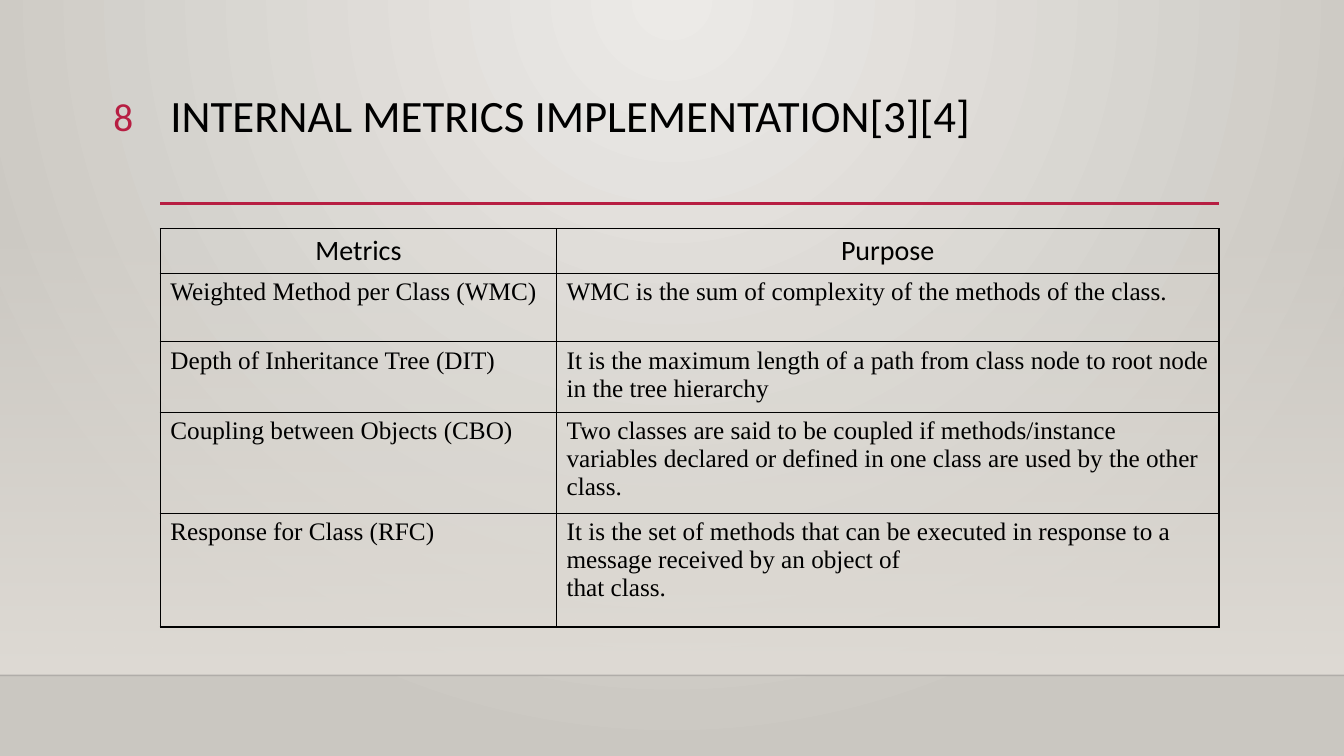
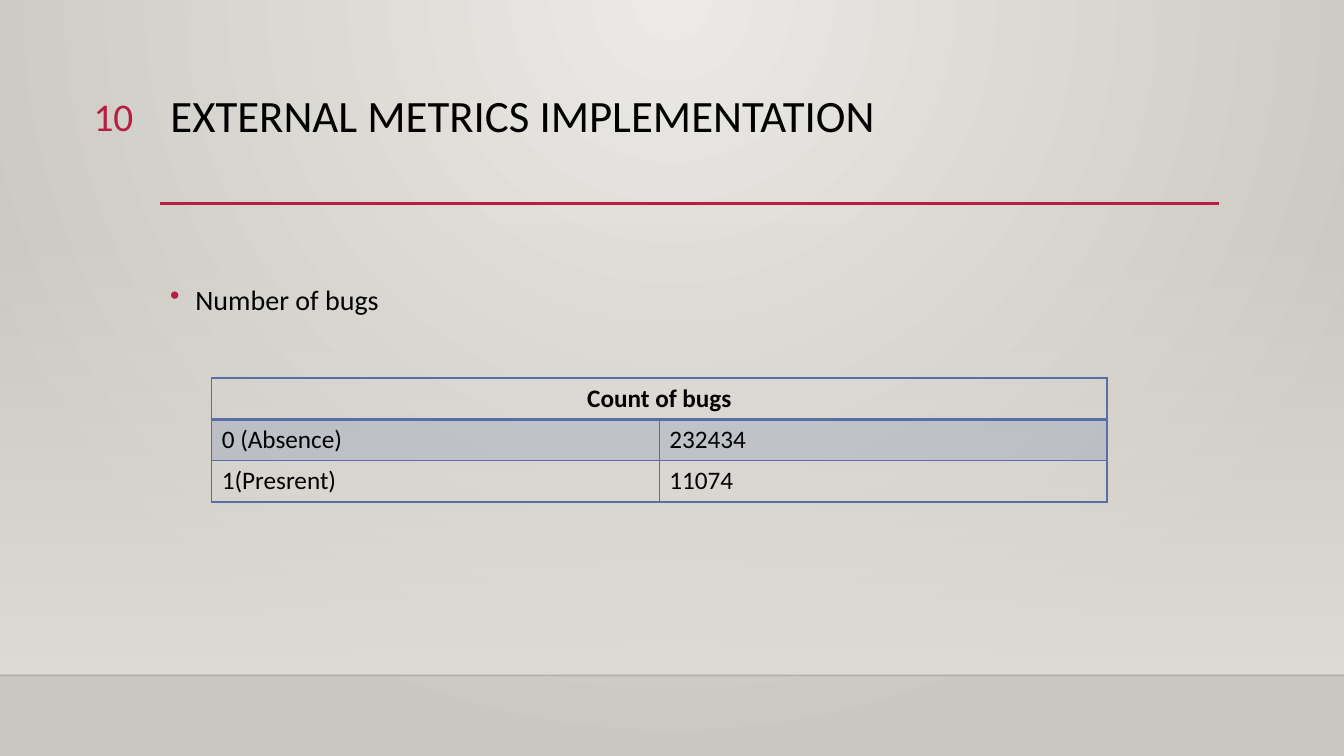
from lxml import etree
from pptx import Presentation
from pptx import util as u
from pptx.dml.color import RGBColor
from pptx.enum import shapes, text
from pptx.oxml.ns import qn

COLORS = {
    "glow": "ECEAE7", "edge": "CAC7C1", "band": "DFDBD5", "floor": "000001",
    "accent": "B71E42", "ink": "000000", "blue": "586EA6",
}
FONT, SERIF = "Calibri", "Times New Roman"
LEFT, WIDTH = 1.59, 10.5
ALIGN = text.PP_ALIGN


def color(name):
    return RGBColor.from_string(COLORS[name])


def add_element(parent, tag, **attributes):
    return etree.SubElement(parent, qn(tag), attributes)


def set_alpha(element, percents):
    """Give each colour inside the element its opacity, in order."""
    for value, percent in zip(element.iter(qn("a:srgbClr")), percents):
        add_element(value, "a:alpha", val=str(percent * 1000))


def set_gradient(fill, names):
    fill.gradient()
    for stop, name, position in zip(fill.gradient_stops, names, (0, 1)):
        stop.color.rgb = color(name)
        stop.position = position


def write(frame, content, size=18, font=FONT, ink="ink", bold=False,
          align=ALIGN.LEFT, spacing=1.0):
    """Write text into a frame, one paragraph for each line."""
    frame.word_wrap = True
    frame.text = content
    for para in frame.paragraphs:
        para.alignment = align
        para.line_spacing = spacing
        for span in para.runs:
            span.font.size = u.Pt(size)
            span.font.name = font
            span.font.bold = bold
            span.font.color.rgb = color(ink)


class Slides:
    def __init__(self):
        self.deck = Presentation()
        self.deck.slide_width = u.Inches(13.33)
        self.deck.slide_height = u.Inches(7.5)
        self.page = None

    def start(self, number, title):
        self.page = self.deck.slides.add_slide(self.deck.slide_layouts[5])
        self.backdrop()
        self.line(0, 6.7, 13.33, "floor", 1, opacity=20)
        self.line(LEFT, 2.02, WIDTH, "accent", 2.5)
        self.title(title)
        self.box(number, 0.53, 0.87, 0.89, 0.55, size=28, ink="accent",
                 align=ALIGN.RIGHT)

    def backdrop(self):
        # Glow from the top centre
        set_gradient(self.page.background.fill, ("glow", "edge"))
        gradient = self.page.background._cSld.find(".//" + qn("a:gradFill"))
        gradient.remove(gradient.find(qn("a:lin")))
        circle = add_element(gradient, "a:path", path="circle")
        add_element(circle, "a:fillToRect", l="43000", t="0", r="43000", b="100000")
        # Band that fades in downwards
        band = self.page.shapes.add_shape(
            shapes.MSO_SHAPE.RECTANGLE, 0, u.Inches(2.21),
            self.deck.slide_width, u.Inches(4.49))
        band.shadow.inherit = False
        band.line.fill.background()
        set_gradient(band.fill, ("band", "band"))
        band.fill.gradient_angle = 270
        set_alpha(band._element.spPr, (0, 100))

    def line(self, left, top, width, ink, weight, opacity=100):
        rule = self.page.shapes.add_connector(
            shapes.MSO_CONNECTOR.STRAIGHT, u.Inches(left), u.Inches(top),
            u.Inches(left + width), u.Inches(top))
        rule.line.color.rgb = color(ink)
        rule.line.width = u.Pt(weight)
        properties = rule._element.spPr
        set_alpha(properties, (opacity,))
        add_element(properties, "a:effectLst")

    def title(self, content):
        title = self.page.shapes.title
        title.left, title.top = u.Inches(LEFT), u.Inches(0.88)
        title.width, title.height = u.Inches(WIDTH), u.Inches(1.15)
        frame = title.text_frame
        frame.auto_size = text.MSO_AUTO_SIZE.NONE
        frame.vertical_anchor = text.MSO_ANCHOR.TOP
        write(frame, content, size=32, spacing=0.9)

    def box(self, content, left, top, width, height, **style):
        box = self.page.shapes.add_textbox(
            u.Inches(left), u.Inches(top), u.Inches(width), u.Inches(height))
        write(box.text_frame, content, **style)
        return box

    def bullet(self, content, left, top, width, height):
        box = self.box(content, left, top, width, height, size=20)
        properties = box.text_frame.paragraphs[0]._p.get_or_add_pPr()
        indent = u.Inches(0.25)
        properties.set("marL", str(indent))
        properties.set("indent", str(-indent))
        bullet_color = add_element(properties, "a:buClr")
        add_element(bullet_color, "a:srgbClr", val=COLORS["accent"])
        add_element(properties, "a:buChar", char="\u2022")

    def table(self, left, top, columns, heights, rows, border, header, body,
              header_rule=1):
        """Draw a bordered table; a one-cell row spans every column."""
        frame = self.page.shapes.add_table(
            len(rows), len(columns), u.Inches(left), u.Inches(top),
            u.Inches(sum(columns)), u.Inches(sum(heights)))
        table = frame.table
        table.first_row = table.horz_banding = False
        for column, width in zip(table.columns, columns):
            column.width = u.Inches(width)
        for index, (row, height, values) in enumerate(zip(table.rows, heights, rows)):
            row.height = u.Inches(height)
            if len(values) == 1:
                table.cell(index, 0).merge(table.cell(index, len(columns) - 1))
            for cell in row.cells:
                cell.fill.background()
                self.borders(cell, border,
                             top=header_rule if index == 1 else 1,
                             bottom=header_rule if index == 0 else 1)
            for cell, value in zip(row.cells, values):
                write(cell.text_frame, value, **(body if index else header))
        return table

    def borders(self, cell, ink, top, bottom):
        properties = cell._tc.get_or_add_tcPr()
        edges = {"a:lnL": 1, "a:lnR": 1, "a:lnT": top, "a:lnB": bottom}
        for index, (tag, weight) in enumerate(edges.items()):
            edge = add_element(properties, tag, w=str(u.Pt(weight)))
            add_element(add_element(edge, "a:solidFill"), "a:srgbClr", val=COLORS[ink])
            properties.insert(index, edge)

    def tint(self, row, ink, opacity):
        for cell in row.cells:
            cell.fill.solid()
            cell.fill.fore_color.rgb = color(ink)
            fill = cell._tc.tcPr.find(qn("a:solidFill"))
            set_alpha(fill, (opacity,))


slides = Slides()

# Internal metrics
slides.start("8", "INTERNAL METRICS IMPLEMENTATION[3][4]")
slides.table(
    LEFT, 2.27, (3.93, 6.57), (0.44, 0.68, 0.65, 0.93, 1.13),
    (
        ("Metrics", "Purpose"),
        ("Weighted Method per Class (WMC)",
         "WMC is the sum of complexity of the methods of the class."),
        ("Depth of Inheritance Tree (DIT)",
         "It is the maximum length of a path from class node to root node "
         "in the tree hierarchy"),
        ("Coupling between Objects (CBO)",
         "Two classes are said to be coupled if methods/instance variables "
         "declared or defined in one class are used by the other class."),
        ("Response for Class (RFC)",
         "It is the set of methods that can be executed in response to a "
         "message received by an object of\nthat class."),
    ),
    border="ink", header=dict(size=20, align=ALIGN.CENTER), body=dict(font=SERIF))

# External metrics
slides.start("10", "EXTERNAL METRICS IMPLEMENTATION")
slides.bullet("Number of bugs", LEFT, 2.75, WIDTH, 0.5)
bugs = slides.table(
    2.1, 3.75, (4.44, 4.44), (0.41,) * 3,
    (("Count of bugs",), ("0 (Absence)", "232434"), ("1(Presrent)", "11074")),
    border="blue", header=dict(bold=True, align=ALIGN.CENTER), body={},
    header_rule=2)
slides.tint(bugs.rows[1], "blue", 20)

slides.deck.save("out.pptx")
